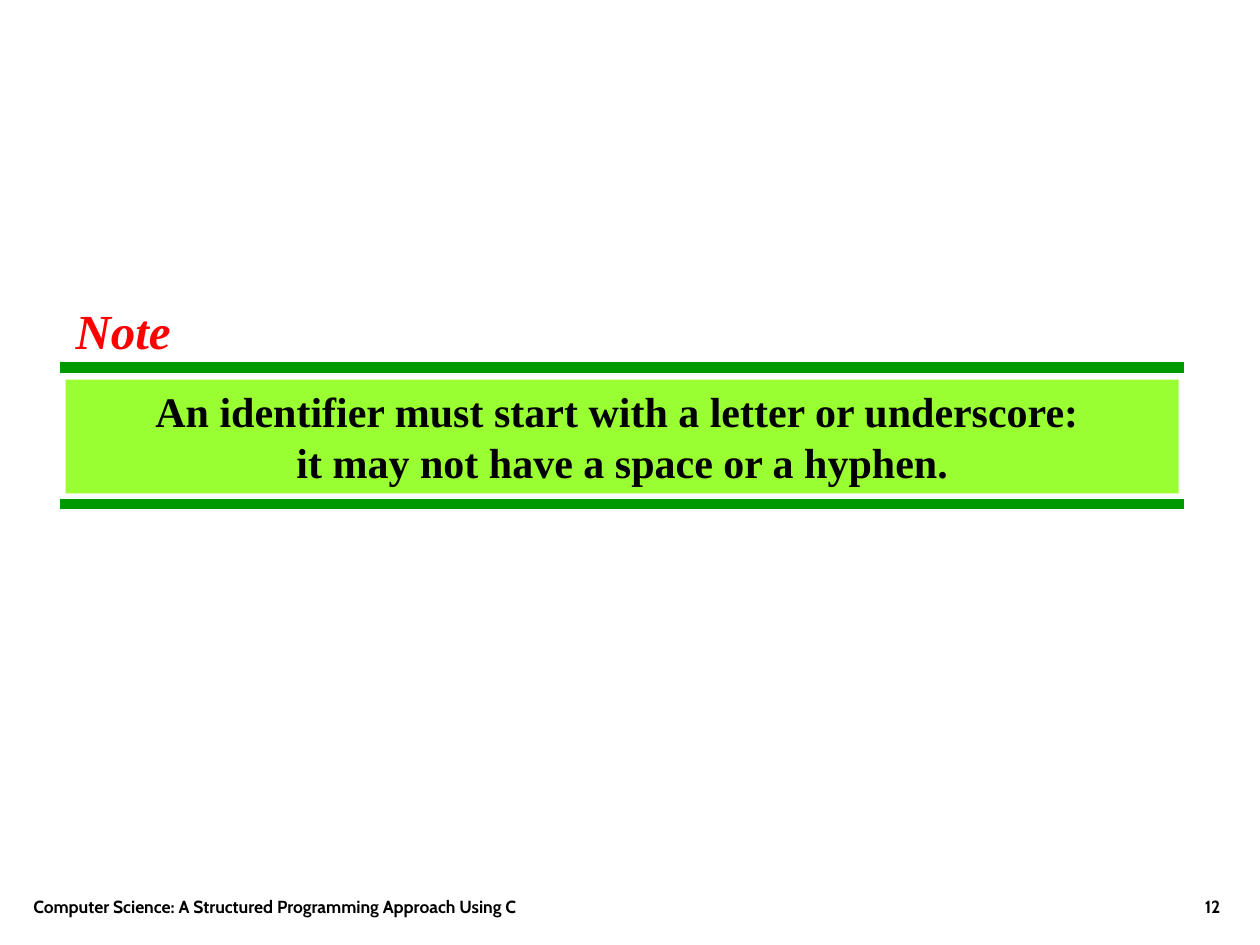
from lxml import etree
from pptx import Presentation
from pptx.dml.color import RGBColor
from pptx.enum import shapes, text
from pptx.oxml import ns
from pptx.util import Pt

BLACK = RGBColor(0x00, 0x00, 0x00)
RED = RGBColor(0xFF, 0x00, 0x00)
GREEN = RGBColor(0x00, 0x99, 0x00)
LIME = RGBColor(0x99, 0xFF, 0x33)
SERIF = "Times New Roman"
SANS = "Cabin"
ALIGN = text.PP_ALIGN
ANCHOR = text.MSO_ANCHOR


def place(shape, left, top, width, height):
    shape.left, shape.top = Pt(left), Pt(top)
    shape.width, shape.height = Pt(width), Pt(height)


def write(shape, words, *, size, font, color=BLACK, italic=False,
          align=ALIGN.LEFT, anchor=ANCHOR.TOP):
    frame = shape.text_frame
    frame.word_wrap = True
    frame.auto_size = text.MSO_AUTO_SIZE.NONE
    frame.vertical_anchor = anchor
    frame.margin_left = frame.margin_right = Pt(7.2)
    frame.margin_top = frame.margin_bottom = Pt(3.6)
    paragraph = frame.paragraphs[0]
    paragraph.text = words
    paragraph.alignment = align
    for run in paragraph.runs:
        run.font.size = Pt(size)
        run.font.name = font
        run.font.bold = True
        run.font.italic = italic
        run.font.color.rgb = color


def add_rule(slide, left, right, y):
    rule = slide.shapes.add_connector(
        shapes.MSO_CONNECTOR.STRAIGHT, Pt(left), Pt(y), Pt(right), Pt(y))
    rule.line.color.rgb = GREEN
    rule.line.width = Pt(6)
    etree.SubElement(rule._element.spPr, ns.qn("a:effectLst"))


def add_note(slide, left, top, width, height):
    heading = slide.shapes.title
    place(heading, left + 1.5, top, 80, 41)
    write(heading, "Note", size=28, font=SERIF, color=RED, italic=True)

    for y in (top + 42, top + height):
        add_rule(slide, left, left + width, y)

    panel = slide.shapes.add_shape(
        shapes.MSO_SHAPE.RECTANGLE,
        Pt(left + 3), Pt(top + 49), Pt(width - 6), Pt(65))
    panel.shadow.inherit = False
    panel.fill.solid()
    panel.fill.fore_color.rgb = LIME
    panel.line.fill.background()
    write(panel, "An identifier must start with a letter or underscore: \v"
          "it may not have a space or a hyphen.",
          size=24, font=SERIF, align=ALIGN.CENTER)


def add_footer(slide, left, top, width, height):
    parts = (
        ("Computer Science: A Structured Programming Approach Using C",
         left, 408, ALIGN.LEFT),
        ("12", left + width - 150, 150, ALIGN.RIGHT),
    )
    for words, x, part_width, align in parts:
        box = slide.shapes.add_textbox(
            Pt(x), Pt(top), Pt(part_width), Pt(height))
        write(box, words, size=10, font=SANS, align=align,
              anchor=ANCHOR.BOTTOM)


def main():
    deck = Presentation()
    deck.slide_width, deck.slide_height = Pt(720), Pt(540)
    slide = deck.slides.add_slide(deck.slide_layouts.get_by_name("Title Only"))
    add_footer(slide, 12, 491.5, 692.5, 36)
    add_note(slide, 34.5, 168, 642, 120)
    deck.save("out.pptx")


if __name__ == "__main__":
    main()
